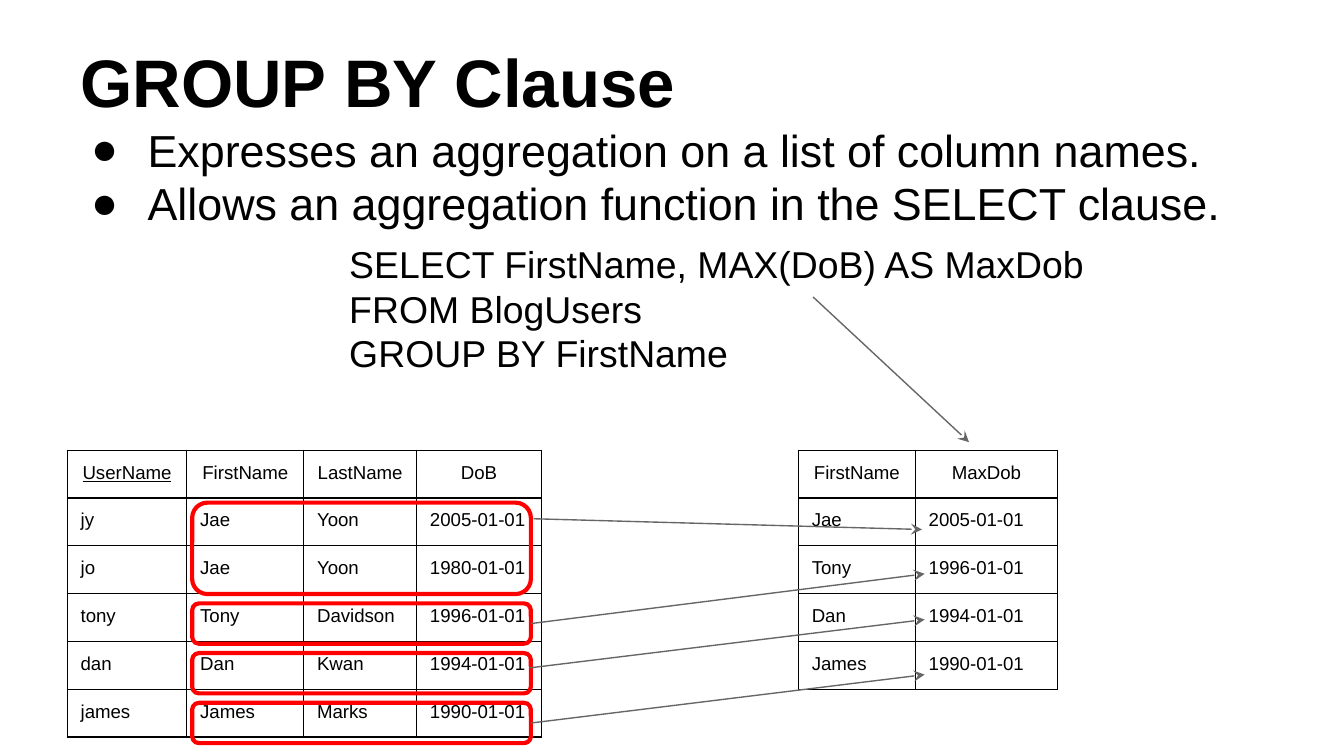
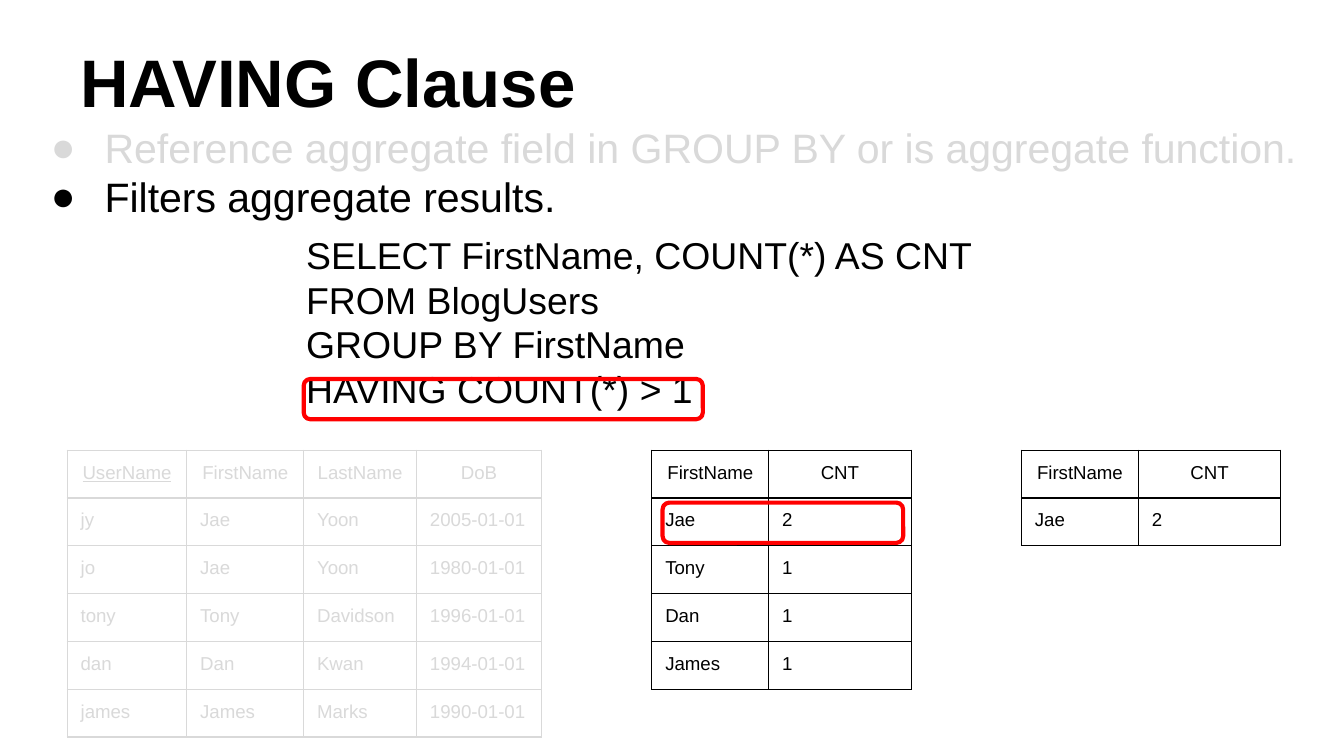
from dataclasses import dataclass

from lxml.etree import SubElement
from pptx import Presentation
from pptx.dml.color import RGBColor as Rgb
from pptx.enum.shapes import MSO_CONNECTOR as Connector, MSO_SHAPE as Shape
from pptx.enum.text import MSO_ANCHOR as Anchor, PP_ALIGN as Align
from pptx.oxml import parse_xml
from pptx.oxml.ns import nsdecls, qn
from pptx.util import Inches, Pt


@dataclass(frozen=True)
class Theme:
    font: str = "Arial"
    ink: str = "000000"
    faded: str = "D9D9D9"
    mark: str = "FF0000"
    arrow: str = "666666"
    title_size: int = 36
    code_size: int = 20
    cell_size: int = 10
    thin: float = 0.75
    thick: float = 2.25
    inset: float = 0.1
    cell_spacing: float = 0.93


THEME = Theme()
TABLE_TOP = 3.35
ROW_HEIGHT = 0.23
USER_COLUMNS = [0.89, 0.87, 0.84, 0.93]
RESULT_COLUMNS = [0.87, 1.06]
BLOG_USERS = [
    ["UserName", "FirstName", "LastName", "DoB"],
    ["jy", "Jae", "Yoon", "2005-01-01"],
    ["jo", "Jae", "Yoon", "1980-01-01"],
    ["tony", "Tony", "Davidson", "1996-01-01"],
    ["dan", "Dan", "Kwan", "1994-01-01"],
    ["james", "James", "Marks", "1990-01-01"],
]
MAX_DOBS = [
    ["FirstName", "MaxDob"],
    ["Jae", "2005-01-01"],
    ["Tony", "1996-01-01"],
    ["Dan", "1994-01-01"],
    ["James", "1990-01-01"],
]
COUNTS = [["FirstName", "CNT"], ["Jae", "2"], ["Tony", "1"], ["Dan", "1"], ["James", "1"]]


def add_run(paragraph, text, size, color=THEME.ink, bold=False):
    run = paragraph.add_run()
    run.text = text
    run.font.name = THEME.font
    run.font.size = Pt(size)
    run.font.bold = bold
    run.font.color.rgb = Rgb.from_string(color)
    return run


def add_frame(slide, box, anchor):
    frame = slide.shapes.add_textbox(*map(Inches, box)).text_frame
    frame.word_wrap = True
    frame.vertical_anchor = anchor
    frame.margin_left = frame.margin_right = Inches(THEME.inset)
    frame.margin_top = frame.margin_bottom = Inches(THEME.inset)
    return frame


def add_title(slide, text):
    frame = add_frame(slide, (0.5, 0.06, 9, 0.94), Anchor.BOTTOM)
    add_run(frame.paragraphs[0], text, THEME.title_size, bold=True)


def set_indent(paragraph, left, hanging=0.0, bullet_color=None):
    props = paragraph._p.get_or_add_pPr()
    props.set("marL", str(Inches(left)))
    props.set("indent", str(Inches(-hanging)))
    if bullet_color:
        tint = SubElement(props, qn("a:buClr"))
        SubElement(tint, qn("a:srgbClr"), val=bullet_color)
        SubElement(props, qn("a:buFont"), typeface=THEME.font)
        SubElement(props, qn("a:buChar"), char="●")


def add_body(slide, box, points, size, hanging, query):
    """Bulleted points, given as (text, colour), with an indented query below."""
    frame = add_frame(slide, box, Anchor.TOP)
    for index, (text, color) in enumerate(points):
        point = frame.add_paragraph() if index else frame.paragraphs[0]
        set_indent(point, 0.5, hanging, color)
        add_run(point, text, size, color)

    code = frame.add_paragraph()
    set_indent(code, 2)
    code.space_before = Pt(6)
    for index, line in enumerate(query):
        if index:
            code.add_line_break()
        add_run(code, line, THEME.code_size)


def style_cell(cell, color):
    cell.fill.background()
    cell.margin_left = cell.margin_right = Inches(THEME.inset)
    cell.margin_top = cell.margin_bottom = Inches(THEME.inset)
    props = cell._tc.get_or_add_tcPr()
    for position, side in enumerate(("lnL", "lnR", "lnT", "lnB")):
        props.insert(position, parse_xml(
            f'<a:{side} {nsdecls("a")} w="{Pt(THEME.thin)}"><a:solidFill>'
            f'<a:srgbClr val="{color}"/></a:solidFill></a:{side}>'))


def add_relation(slide, left, columns, rows, color=THEME.ink, key=None):
    """A database table with centred headings; the key heading is underlined."""
    table = slide.shapes.add_table(
        len(rows), len(columns), Inches(left), Inches(TABLE_TOP),
        Inches(sum(columns)), Inches(ROW_HEIGHT * len(rows))).table
    table.first_row = table.horz_banding = False
    for column, width in zip(table.columns, columns):
        column.width = Inches(width)
    for r, values in enumerate(rows):
        table.rows[r].height = Inches(ROW_HEIGHT)
        for c, value in enumerate(values):
            cell = table.cell(r, c)
            style_cell(cell, color)
            paragraph = cell.text_frame.paragraphs[0]
            paragraph.alignment = Align.LEFT if r else Align.CENTER
            paragraph.line_spacing = THEME.cell_spacing
            run = add_run(paragraph, value, THEME.cell_size, color)
            if r == 0 and value == key:
                run.font.underline = True


def add_mark(slide, left, top, width, height=0.3):
    mark = slide.shapes.add_shape(
        Shape.ROUNDED_RECTANGLE, *map(Inches, (left, top, width, height)))
    mark.shadow.inherit = False
    mark.fill.background()
    mark.line.color.rgb = Rgb.from_string(THEME.mark)
    mark.line.width = Pt(THEME.thick)
    return mark


def add_arrow(slide, start, end, source=None):
    arrow = slide.shapes.add_connector(
        Connector.STRAIGHT, *map(Inches, (*start, *end)))
    arrow.line.color.rgb = Rgb.from_string(THEME.arrow)
    arrow.line.width = Pt(THEME.thin)
    SubElement(arrow.line._get_or_add_ln(), qn("a:tailEnd"), type="stealth")
    SubElement(arrow._element.spPr, qn("a:effectLst"))
    if source is not None:
        arrow.begin_connect(source, 3)


def build_group_by(slide):
    add_title(slide, "GROUP BY Clause")
    add_body(
        slide, (0.5, 0.81, 9.42, 4.7),
        [("Expresses an aggregation on a list of column names.", THEME.ink),
         ("Allows an aggregation function in the SELECT clause.", THEME.ink)],
        24, 0.42,
        ["SELECT FirstName, MAX(DoB) AS MaxDob", "FROM BlogUsers", "GROUP BY FirstName"])
    add_relation(slide, 0.5, USER_COLUMNS, BLOG_USERS, key="UserName")
    add_relation(slide, 5.94, RESULT_COLUMNS, MAX_DOBS)

    # One mark per group of rows
    add_mark(slide, 1.43, 3.74, 2.52, 0.68)
    tony, dan, james = [add_mark(slide, 1.43, 4.49 + 0.37 * i, 2.52) for i in range(3)]

    # From each group to its result, and from the function to its column
    add_arrow(slide, (3.97, 3.86), (6.86, 3.94))
    add_arrow(slide, (3.95, 4.64), (6.88, 4.27), tony)
    add_arrow(slide, (3.94, 4.97), (6.88, 4.61))
    add_arrow(slide, (3.95, 5.38), (6.88, 5.02), james)
    add_arrow(slide, (6.05, 2.21), (7.21, 3.29))


def build_having(slide):
    add_title(slide, "HAVING Clause")
    add_body(
        slide, (0.18, 0.81, 9.74, 4.7),
        [("Reference aggregate field in GROUP BY or is aggregate function.", THEME.faded),
         ("Filters aggregate results.", THEME.ink)],
        22, 0.4,
        ["SELECT FirstName, COUNT(*) AS CNT", "FROM BlogUsers",
         "GROUP BY FirstName", "HAVING COUNT(*) > 1"])

    # Source rows, grouped counts, filtered result
    add_relation(slide, 0.5, USER_COLUMNS, BLOG_USERS, THEME.faded, key="UserName")
    add_relation(slide, 4.85, RESULT_COLUMNS, COUNTS)
    add_relation(slide, 7.6, RESULT_COLUMNS, COUNTS[:2])

    # The row that passes and the condition it meets
    add_mark(slide, 4.93, 3.74, 1.79)
    add_mark(slide, 2.26, 2.82, 2.97)


def main():
    deck = Presentation()
    deck.slide_width = Inches(10)
    deck.slide_height = deck.slide_width * 9 // 16
    blank = deck.slide_layouts[6]
    for build in (build_group_by, build_having):
        build(deck.slides.add_slide(blank))
    deck.save("out.pptx")


if __name__ == "__main__":
    main()
